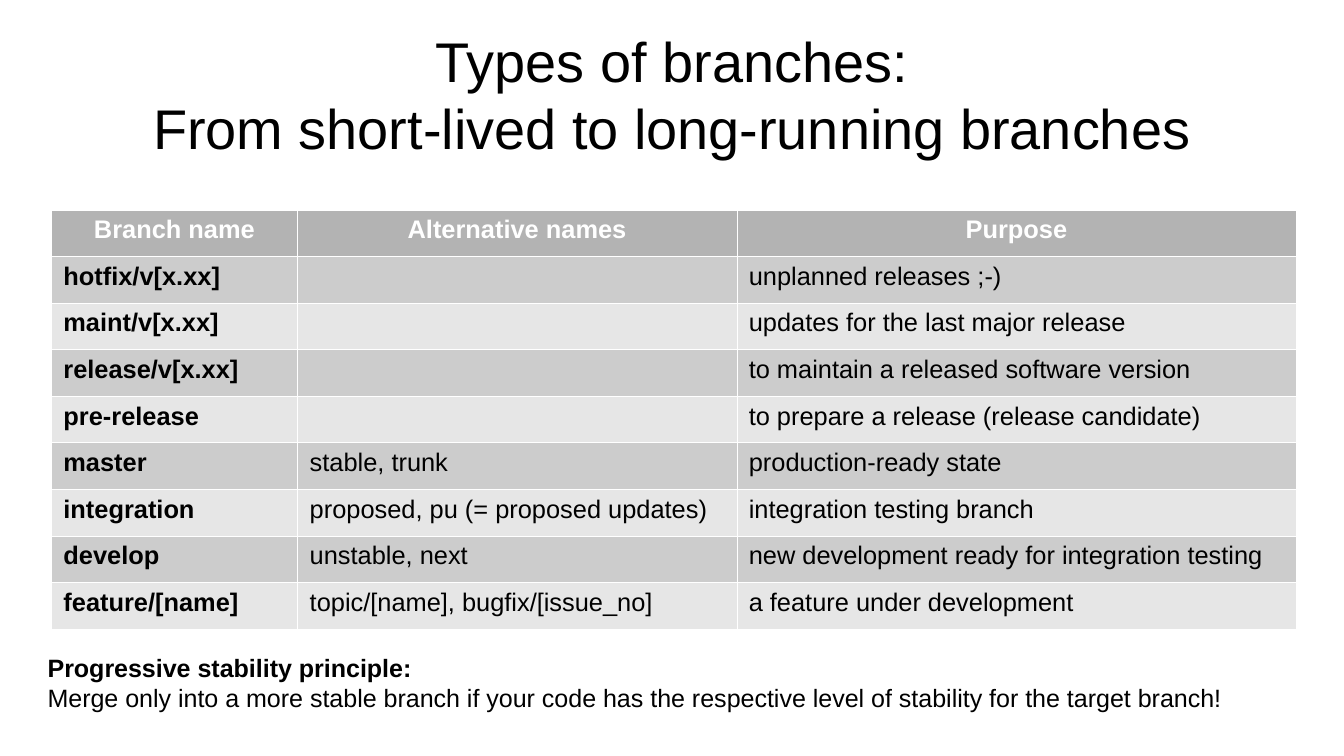
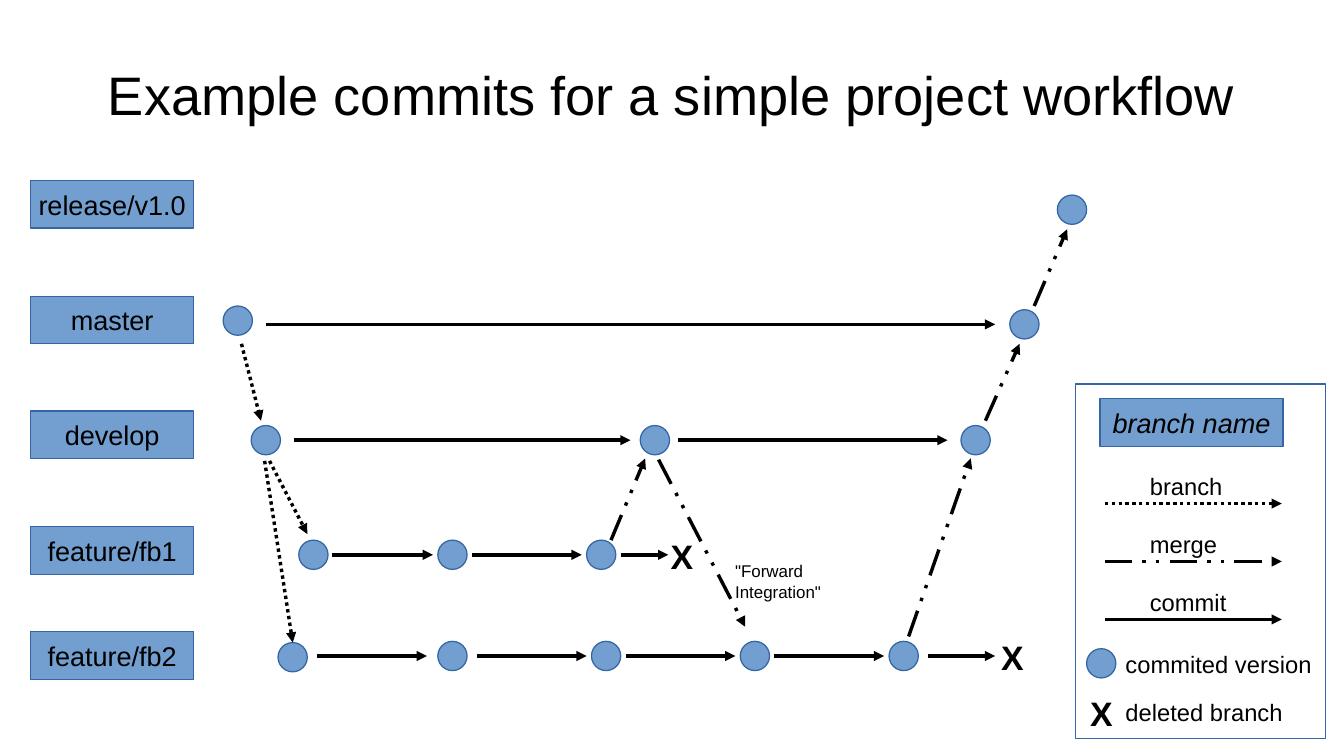
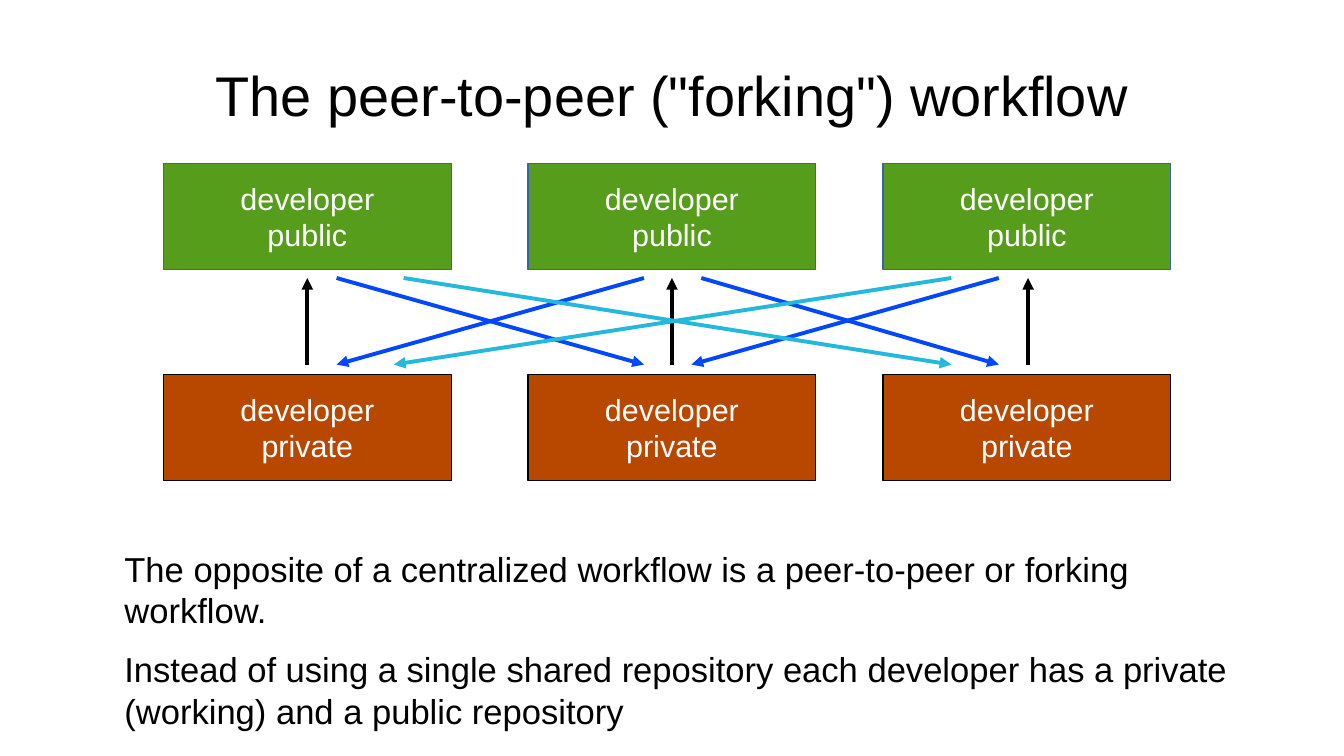
import dataclasses

import pptx
import pptx.dml.color
import pptx.enum.dml
import pptx.enum.shapes
import pptx.enum.text
import pptx.oxml.ns
import pptx.util
from lxml import etree

ALIGN = pptx.enum.text.PP_ALIGN
ANCHOR = pptx.enum.text.MSO_ANCHOR
SHAPE = pptx.enum.shapes.MSO_SHAPE
DASH = pptx.enum.dml.MSO_LINE
RGB = pptx.dml.color.RGBColor.from_string
qn = pptx.oxml.ns.qn

COLUMNS, ROWS = 110.2, 62
CELL = pptx.util.Inches(0.1)


@dataclasses.dataclass(frozen=True)
class Theme:
    """Colours, font and type sizes shared by all slides."""

    font: str = "Arial"
    ink: str = "000000"
    paper: str = "FFFFFF"
    blue: str = "729FCF"
    edge: str = "3465A4"
    green: str = "579D1C"
    rust: str = "B84700"
    pull: str = "0047FF"
    far_pull: str = "23B8DC"
    header: str = "B3B3B3"
    bands: tuple = ("CCCCCC", "E6E6E6")
    title: float = 33
    body: float = 20.4
    box: float = 18
    label: float = 16
    cell: float = 15
    note: float = 14.8
    legend: float = 14
    cross: float = 20
    small: float = 10


def grid(*lengths):
    """Turn columns or rows of the grid into slide lengths."""
    return [round(length * CELL) for length in lengths]


def assign(target, values):
    """Set every attribute named in a dict of format values."""
    for name, value in values.items():
        setattr(target, name, value)


class Deck:
    """Holds the theme, the presentation and the current slide."""

    def __init__(self, theme):
        self.theme = theme
        self.presentation = pptx.Presentation()
        width, height = grid(COLUMNS, ROWS)
        assign(self.presentation, {"slide_width": width, "slide_height": height})
        self.slide = None

    def lines(self, frame, text, size, colour=None, align=ALIGN.LEFT, after=0, **font):
        """Set one paragraph for each line of text."""
        for number, line in enumerate(text.split("\n")):
            paragraph = frame.add_paragraph() if number else frame.paragraphs[0]
            paragraph.text = line
            assign(paragraph, {"alignment": align, "space_after": pptx.util.Pt(after)})
            for run in paragraph.runs or [paragraph.add_run()]:
                values = {"name": self.theme.font, "size": pptx.util.Pt(size), "bold": False}
                assign(run.font, values | font)
                run.font.color.rgb = RGB(colour or self.theme.ink)

    def frame(self, shape, inset=True, wrap=True, anchor=ANCHOR.TOP):
        """Set the insets, wrapping and anchor of a shape's text."""
        side, end = grid(1, 0.5) if inset else (0, 0)
        assign(shape.text_frame, {
            "auto_size": pptx.enum.text.MSO_AUTO_SIZE.NONE,
            "margin_left": side, "margin_right": side,
            "margin_top": end, "margin_bottom": end,
            "word_wrap": wrap, "vertical_anchor": anchor,
        })
        return shape.text_frame

    def add_slide(self, title, size=None):
        """Start a title-only slide and format its title."""
        self.slide = self.presentation.slides.add_slide(self.presentation.slide_layouts[5])
        shape = self.slide.shapes.title
        names = ("left", "top", "width", "height")
        assign(shape, dict(zip(names, grid(5.5, 2.5, 99.2, 10.4))))
        frame = self.frame(shape, inset=False, anchor=ANCHOR.MIDDLE)
        self.lines(frame, title, size or self.theme.title, align=ALIGN.CENTER)

    def text(self, place, text, size, inset=True, wrap=False, **style):
        """Add a text box."""
        shape = self.slide.shapes.add_textbox(*grid(*place))
        self.lines(self.frame(shape, inset, wrap), text, size, **style)
        return shape

    def shape(self, kind, place, fill=None, edge=None):
        """Add a preset shape with a hairline edge."""
        shape = self.slide.shapes.add_shape(kind, *grid(*place))
        shape.shadow.inherit = False
        if fill:
            shape.fill.solid()
            shape.fill.fore_color.rgb = RGB(fill)
        else:
            shape.fill.background()
        shape.line.color.rgb = RGB(edge or self.theme.edge)
        shape.line.width = 0
        return shape

    def box(self, place, text, size, fill, edge=None, **style):
        """Add a rectangle with centred text."""
        shape = self.shape(SHAPE.RECTANGLE, place, fill, edge)
        frame = self.frame(shape, wrap=False, anchor=ANCHOR.MIDDLE)
        self.lines(frame, text, size, align=ALIGN.CENTER, **style)

    def commit(self, x, y):
        """Add a commit dot around its centre."""
        self.shape(SHAPE.OVAL, (x - 1.2, y - 1.2, 2.4, 2.4), self.theme.blue)

    def cross(self, left, top):
        """Add the mark of a deleted branch."""
        self.text((left, top, 3.6, 4.1), "X", self.theme.cross, wrap=True, bold=True)

    def arrow(self, x1, y1, x2, y2, colour=None, width=0, dash=None):
        """Add a straight arrow."""
        connector = self.slide.shapes.add_connector(
            pptx.enum.shapes.MSO_CONNECTOR.STRAIGHT, *grid(x1, y1, x2, y2))
        connector.line.color.rgb = RGB(colour or self.theme.ink)
        assign(connector.line, {"width": pptx.util.Pt(width), "dash_style": dash})
        properties = connector._element.spPr
        etree.SubElement(properties.find(qn("a:ln")), qn("a:tailEnd"), type="triangle")
        etree.SubElement(properties, qn("a:effectLst"))

    def cell(self, cell, text, fill, **style):
        """Fill one table cell and give it thin borders."""
        self.lines(cell.text_frame, text, self.theme.cell, **style)
        properties = cell._tc.get_or_add_tcPr()
        for side in ("a:lnL", "a:lnR", "a:lnT", "a:lnB"):
            border = etree.SubElement(properties, qn(side), w="762")
            solid = etree.SubElement(border, qn("a:solidFill"))
            etree.SubElement(solid, qn("a:srgbClr"), val=self.theme.paper)
        cell.fill.solid()
        cell.fill.fore_color.rgb = RGB(fill)

    def table(self, left, top, widths, row_height, rows):
        """Add a banded table with a header row and bold first column."""
        place = (left, top, sum(widths), row_height * len(rows))
        table = self.slide.shapes.add_table(len(rows), len(widths), *grid(*place)).table
        assign(table, {"first_row": False, "horz_banding": False})
        for column, width in zip(table.columns, grid(*widths)):
            column.width = width
        for r, row in enumerate(rows):
            for c, text in enumerate(row):
                if r == 0:
                    style = {"fill": self.theme.header, "colour": self.theme.paper,
                             "align": ALIGN.CENTER, "bold": True}
                else:
                    style = {"fill": self.theme.bands[(r - 1) % 2], "bold": c == 0}
                self.cell(table.cell(r, c), text, **style)


def branch_types(deck):
    """Build the table of branch types."""
    deck.add_slide("Types of branches:\nFrom short-lived to long-running branches")
    deck.table(4.2, 17.2, (20.2, 36, 45.9), 3.82, [
        ("Branch name", "Alternative names", "Purpose"),
        ("hotfix/v[x.xx]", "", "unplanned releases ;-)"),
        ("maint/v[x.xx]", "", "updates for the last major release"),
        ("release/v[x.xx]", "", "to maintain a released software version"),
        ("pre-release", "", "to prepare a release (release candidate)"),
        ("master", "stable, trunk", "production-ready state"),
        ("integration", "proposed, pu (= proposed updates)", "integration testing branch"),
        ("develop", "unstable, next", "new development ready for integration testing"),
        ("feature/[name]", "topic/[name], bugfix/[issue_no]", "a feature under development"),
    ])
    note = deck.text(
        (3.9, 53.5, 99.2, 5),
        "Progressive stability principle:\nMerge only into a more stable branch if your code "
        "has the respective level of stability for the target branch!",
        deck.theme.note, inset=False, wrap=True)
    note.text_frame.paragraphs[0].runs[0].font.bold = True


def example_commits(deck):
    """Build the commit graph and its legend."""
    theme = deck.theme
    deck.add_slide("Example commits for a simple project workflow", 32)
    branches = {"release/v1.0": 14.8, "master": 24.3, "develop": 33.7,
                "feature/fb1": 43.2, "feature/fb2": 51.8}
    for name, top in branches.items():
        deck.box((2.5, top, 13.4, 3.9), name, theme.label, theme.blue)

    lanes = [
        (17.2, [87.9], []),
        (26.6, [84], [(21.8, 81.6)]),
        (36.1, [21.8, 53.7, 80], [(24.1, 51.7), (55.6, 77.7)]),
        (45.5, [25.7, 37.1, 49.3], [(27.2, 35.5), (38.7, 47.7), (50.9, 54.8)]),
        (53.8, [37.1, 49.7, 61.9, 74.1],
         [(26, 35), (39.1, 48.1), (51.3, 60.3), (63.5, 72.5), (76.1, 81.6)]),
    ]
    for y, commits, arrows in lanes:
        for x in commits:
            deck.commit(x, y)
        for start, end in arrows:
            deck.arrow(start, y, end, y)
    for x, y in ((19.5, 26.3), (24, 53.9)):
        deck.commit(x, y)

    branching = [(19.8, 28.2, 21.4, 34.5), (22.1, 37.8, 25.2, 43.8), (21.7, 37.8, 24, 52.7)]
    merging = [(50.1, 44.3, 52.9, 37.6), (74.5, 52.2, 79.6, 37.6), (80.8, 34.5, 83.6, 28.2),
               (84.8, 25.1, 87.5, 18.8), (54, 37.7, 61.1, 51.4)]
    for ends in branching:
        deck.arrow(*ends, dash=DASH.ROUND_DOT)
    for ends in merging:
        deck.arrow(*ends, dash=DASH.DASH_DOT_DOT)
    for left, top in ((81.1, 51.7), (54, 43.4), (88.4, 56.3)):
        deck.cross(left, top)
    deck.text((59.3, 45.5, 9, 4.1), "\"Forward\nIntegration\"", theme.small)

    deck.shape(SHAPE.RECTANGLE, (88.2, 31.5, 20.5, 29.1))
    deck.box((90.2, 32.7, 15, 3.9), "branch name", theme.label, theme.blue, italic=True)
    kinds = [("branch", 7.9, DASH.ROUND_DOT), ("merge", 7.5, DASH.DASH_DOT_DOT),
             ("commit", 8.3, None)]
    for number, (name, width, dash) in enumerate(kinds):
        y = 41.3 + 4.75 * number
        deck.text((93.3, y - 3.1, width, 3.2), name, theme.legend)
        deck.arrow(90.6, y, 105.1, y, dash=dash)
    deck.commit(90.3, 54.4)
    for name, top, width in (("commited version", 52.8, 17.3), ("deleted branch", 56.7, 14.9)):
        deck.text((91.3, top, width, 3.9), name, theme.legend)


def peer_to_peer(deck):
    """Build the diagram of public and private repositories."""
    theme = deck.theme
    deck.add_slide("The peer-to-peer (\"forking\") workflow")
    kinds = [("public", 13.4, theme.green, theme.edge), ("private", 30.7, theme.rust, theme.ink)]
    low, high = 29.9, 22.8
    for left, middle in ((13.4, 25.2), (43.3, 55.1), (72.4, 84.3)):
        for kind, top, fill, edge in kinds:
            deck.box((left, top, 23.6, 8.7), f"developer\n{kind}", theme.box, fill, edge,
                     colour=theme.paper)
        deck.arrow(middle, low, middle, high, width=2.3)
    pulls = {theme.pull: [(52.8, 27.6), (81.9, 56.7), (57.5, 81.9), (27.6, 52.8)],
             theme.far_pull: [(33.1, 78), (78, 32.3)]}
    for colour, ends in pulls.items():
        for start, end in ends:
            deck.arrow(start, high, end, low, colour, 2.3)
    deck.text(
        (10.2, 44.9, 94.5, 15),
        "The opposite of a centralized workflow is a peer-to-peer or forking workflow.\n"
        "Instead of using a single shared repository each developer has a private (working) "
        "and a public repository",
        theme.body, inset=False, wrap=True, after=10.6)


def main():
    """Build and save the presentation."""
    deck = Deck(Theme())
    for build in (branch_types, example_commits, peer_to_peer):
        build(deck)
    deck.presentation.save("out.pptx")


if __name__ == "__main__":
    main()
